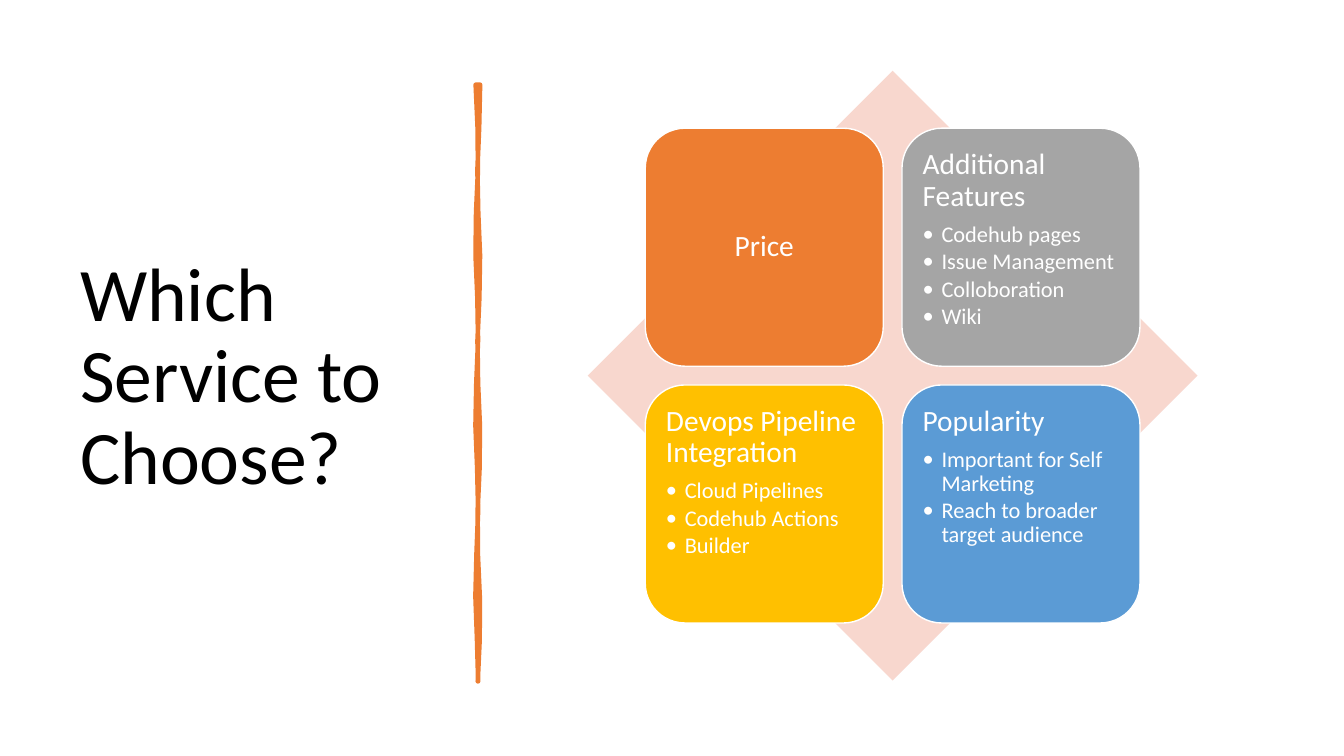
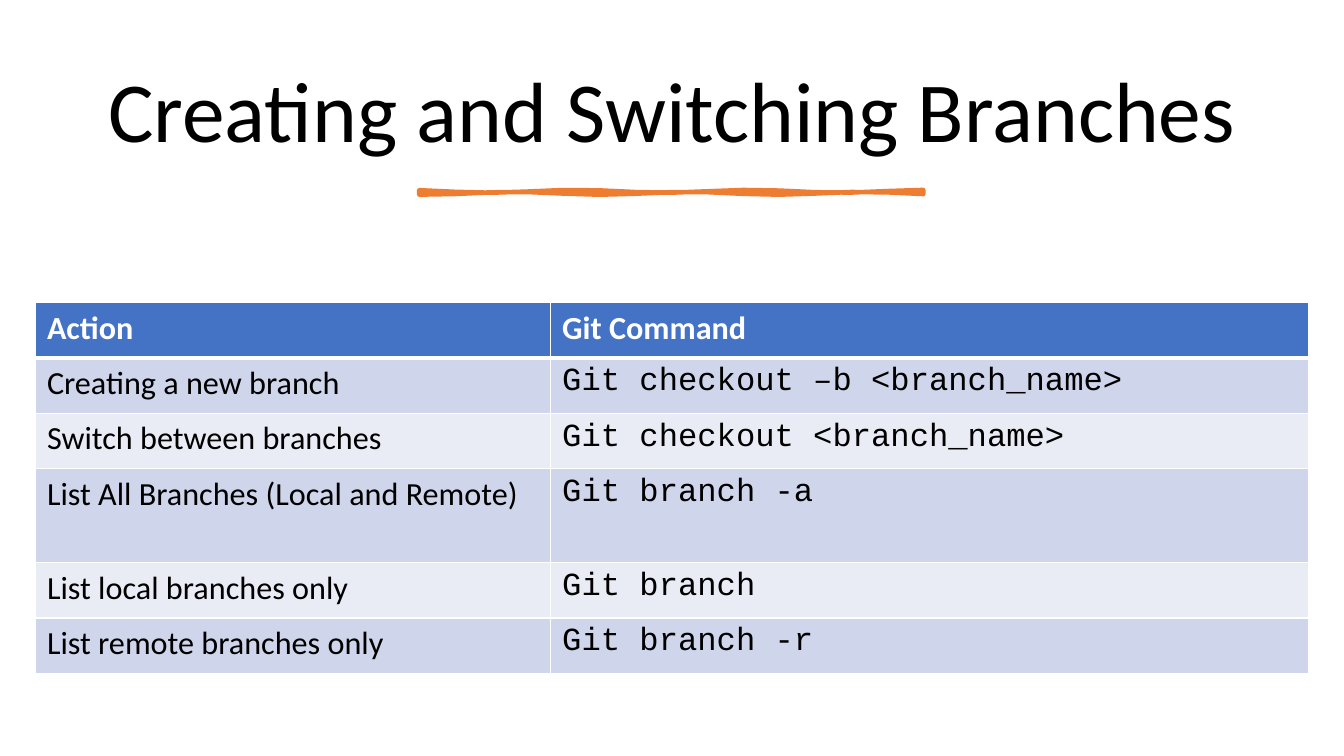
import math

from lxml import etree
from pptx import Presentation
from pptx import util as u
from pptx.dml.color import RGBColor
from pptx.enum import shapes, text
from pptx.oxml import ns

COLORS = {
    "white": "FFFFFF",
    "black": "000000",
    "orange": "ED7D31",
    "gray": "A5A5A5",
    "gold": "FFC000",
    "sky": "5B9BD5",
    "blush": "F8D7CE",
    "header": "4472C4",
    "odd_row": "CFD5EA",
    "even_row": "E9EBF5",
}
BODY_FONT = "Calibri"
CODE_FONT = "Courier New"
TITLE_ONLY = 5

CARDS = [
    ("Price", [], "orange"),
    ("Additional Features",
     ["Codehub pages", "Issue Management", "Colloboration", "Wiki"], "gray"),
    ("Devops Pipeline Integration",
     ["Cloud Pipelines", "Codehub Actions", "Builder"], "gold"),
    ("Popularity",
     ["Important for Self Marketing", "Reach to broader target audience"], "sky"),
]
COMMANDS = [
    ("Action", "Git Command"),
    ("Creating a new branch", "Git checkout –b <branch_name>"),
    ("Switch between branches", "Git checkout <branch_name>"),
    ("List All Branches (Local and Remote)", "Git branch -a"),
    ("List local branches only", "Git branch"),
    ("List remote branches only", "Git branch -r"),
]
COLUMN_WIDTHS = [368, 541.4]
ROW_HEIGHTS = [39.6, 39.6, 39.5, 67.2, 39.6, 39.6]


def rgb(name):
    return RGBColor.from_string(COLORS[name])


def points(*lengths):
    return [u.Pt(length) for length in lengths]


def paint(shape, fill, line=None, width=1):
    shape.shadow.inherit = False
    shape.fill.solid()
    shape.fill.fore_color.rgb = rgb(fill)
    if line:
        shape.line.color.rgb = rgb(line)
        shape.line.width = u.Pt(width)
    else:
        shape.line.fill.background()


def style_font(paragraph, size, color, name=BODY_FONT, bold=False):
    font = paragraph.font
    font.name = name
    font.size = u.Pt(size)
    font.bold = bold
    font.color.rgb = rgb(color)


def set_insets(target, horizontal, vertical):
    target.margin_left = target.margin_right = u.Pt(horizontal)
    target.margin_top = target.margin_bottom = u.Pt(vertical)


def add_titled_slide(presentation, title, box, size, alignment):
    slide = presentation.slides.add_slide(presentation.slide_layouts[TITLE_ONLY])
    shape = slide.shapes.title
    shape.left, shape.top, shape.width, shape.height = points(*box)
    frame = shape.text_frame
    frame.text = title
    frame.word_wrap = True
    frame.auto_size = text.MSO_AUTO_SIZE.NONE
    frame.vertical_anchor = text.MSO_ANCHOR.MIDDLE
    paragraph = frame.paragraphs[0]
    paragraph.alignment = alignment
    paragraph.line_spacing = 0.9
    style_font(paragraph, size, "black")
    return slide


def add_brush_line(slide, left, top, length, vertical=False):
    steps = 14
    period = 125

    def edge(offset, phase):
        distances = [length * step / steps for step in range(steps + 1)]
        return [
            (distance, offset + math.sin(distance * math.tau / period + phase))
            for distance in distances
        ]

    outline = edge(-0.7, -0.92) + edge(0.7, 1.32)[::-1]
    if vertical:
        outline = [(across, along) for along, across in outline]
    outline = [points(left + x, top + y) for x, y in outline]
    builder = slide.shapes.build_freeform(*outline[0])
    builder.add_line_segments(outline[1:], close=True)
    paint(builder.convert_to_shape(), "orange", "orange", 3.25)


def add_bullet(paragraph, indent):
    properties = paragraph._p.get_or_add_pPr()
    properties.set("marL", str(u.Pt(indent)))
    properties.set("indent", str(-u.Pt(indent)))
    etree.SubElement(properties, ns.qn("a:buFont"), typeface=BODY_FONT)
    etree.SubElement(properties, ns.qn("a:buChar"), char="•")


def add_card(slide, box, heading, items, color):
    card = slide.shapes.add_shape(
        shapes.MSO_SHAPE.ROUNDED_RECTANGLE, *points(*box))
    paint(card, color, "white")
    frame = card.text_frame
    frame.word_wrap = True
    set_insets(frame, 6.5, 6.5)
    frame.vertical_anchor = text.MSO_ANCHOR.TOP if items else text.MSO_ANCHOR.MIDDLE
    frame.text = "\n".join([heading, *items])
    for index, paragraph in enumerate(frame.paragraphs):
        paragraph.alignment = text.PP_ALIGN.LEFT if items else text.PP_ALIGN.CENTER
        paragraph.line_spacing = 0.9
        paragraph.space_after = u.Pt(2.4 if index else 7.4)
        if index:
            add_bullet(paragraph, 13.5)
        style_font(paragraph, 16 if index else 21, "white")


def add_card_matrix(slide, center_x, center_y):
    diamond_size, card_size, gap = 435.6, 170, 13.4
    diamond = slide.shapes.add_shape(
        shapes.MSO_SHAPE.DIAMOND,
        *points(center_x - diamond_size / 2, center_y - diamond_size / 2,
                diamond_size, diamond_size))
    paint(diamond, "blush")
    for index, card in enumerate(CARDS):
        row, column = divmod(index, 2)
        left = center_x - gap / 2 - card_size + column * (card_size + gap)
        top = center_y - gap / 2 - card_size + row * (card_size + gap)
        add_card(slide, (left, top, card_size, card_size), *card)


def set_borders(cell, **widths):
    properties = cell._tc.get_or_add_tcPr()
    for side in "LRTB":
        line = etree.SubElement(
            properties, ns.qn(f"a:ln{side}"), w=str(u.Pt(widths.get(side, 1))))
        fill = etree.SubElement(line, ns.qn("a:solidFill"))
        etree.SubElement(fill, ns.qn("a:srgbClr"), val=COLORS["white"])


def add_command_table(slide, left, top):
    table = slide.shapes.add_table(
        len(COMMANDS), len(COLUMN_WIDTHS),
        *points(left, top, sum(COLUMN_WIDTHS), sum(ROW_HEIGHTS))).table
    for column, width in zip(table.columns, COLUMN_WIDTHS):
        column.width = u.Pt(width)
    for index, (row, values) in enumerate(zip(table.rows, COMMANDS)):
        row.height = u.Pt(ROW_HEIGHTS[index])
        header = index == 0
        fill = "header" if header else "odd_row" if index % 2 else "even_row"
        fonts = (BODY_FONT, BODY_FONT if header else CODE_FONT)
        for cell, value, font in zip(row.cells, values, fonts):
            cell.text = value
            set_insets(cell, 8.4, 4.2)
            set_borders(cell, B=3 if header else 1, T=3 if index == 1 else 1)
            cell.fill.solid()
            cell.fill.fore_color.rgb = rgb(fill)
            style_font(cell.text_frame.paragraphs[0], 23,
                       "white" if header else "black", font, header)


def main():
    presentation = Presentation()
    presentation.slide_width, presentation.slide_height = points(960, 540)

    slide = add_titled_slide(
        presentation, "Which Service to Choose?", (50, 50.2, 269.3, 440),
        54, text.PP_ALIGN.LEFT)
    add_brush_line(slide, 341.3, 60.5, 426.2, vertical=True)
    add_card_matrix(slide, 637.6, 268.3)

    slide = add_titled_slide(
        presentation, "Creating and Switching Branches", (50.2, 33, 859, 98.6),
        61, text.PP_ALIGN.CENTER)
    add_brush_line(slide, 299.5, 137.4, 360)
    add_command_table(slide, 25.2, 216)

    presentation.save("out.pptx")


if __name__ == "__main__":
    main()
